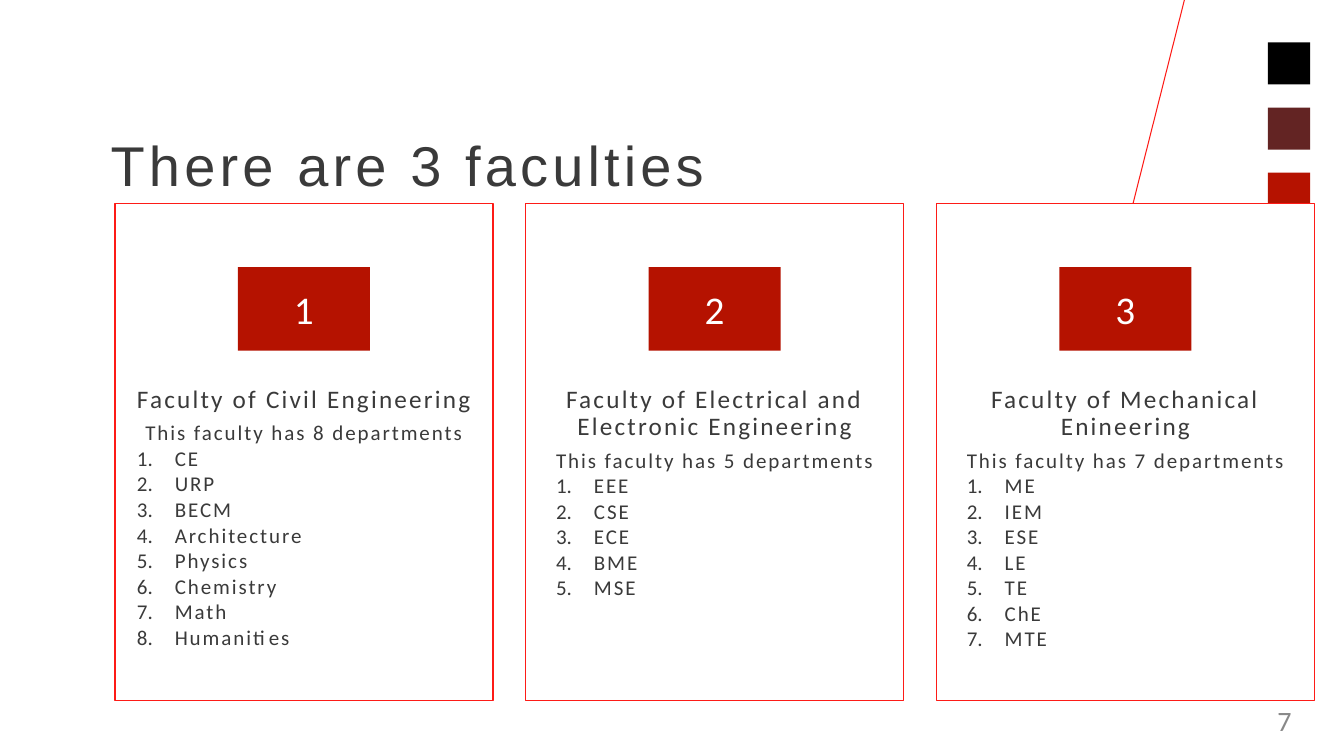
import pptx
import pptx.util
from pptx.dml.color import RGBColor
from pptx.enum.shapes import MSO_CONNECTOR, MSO_SHAPE
from pptx.enum.text import MSO_ANCHOR, PP_ALIGN
from pptx.oxml.ns import qn
from lxml import etree

Pt = pptx.util.Pt

BLACK = RGBColor(0x00, 0x00, 0x00)
MAROON = RGBColor(0x63, 0x24, 0x23)
RED = RGBColor(0xB5, 0x12, 0x00)
BRIGHT_RED = RGBColor(0xFD, 0x1B, 0x17)
WHITE = RGBColor(0xFF, 0xFF, 0xFF)
INK = RGBColor(0x3A, 0x3A, 0x3A)
GREY = RGBColor(0x89, 0x89, 0x89)

TITLE = "There are 3 faculties"
PAGE_NUMBER = "7"
FACULTIES = [
    ("Faculty of Civil Engineering",
     ["CE", "URP", "BECM", "Architecture", "Physics", "Chemistry", "Math", "Humanities"]),
    ("Faculty of Electrical and Electronic Engineering",
     ["EEE", "CSE", "ECE", "BME", "MSE"]),
    ("Faculty of Mechanical Enineering",
     ["ME", "IEM", "ESE", "LE", "TE", "ChE", "MTE"]),
]

SWATCHES = [BLACK, MAROON, RED]
SWATCH_LEFT, SWATCH_TOP, SWATCH_SIZE, SWATCH_PITCH = 905.7, 30.2, 30.2, 46.6
CARD_LEFT, CARD_TOP, CARD_WIDTH, CARD_HEIGHT, CARD_PITCH = 82.1, 145.4, 270, 355, 293.4
BADGE_TOP, BADGE_WIDTH, BADGE_HEIGHT = 190.8, 94.4, 59.6
NUMBER_INDENT = 27


def add_box(slide, left, top, width, height, fill, outline=None):
    box = slide.shapes.add_shape(MSO_SHAPE.RECTANGLE, Pt(left), Pt(top), Pt(width), Pt(height))
    box.shadow.inherit = False
    box.fill.solid()
    box.fill.fore_color.rgb = fill
    if outline is None:
        box.line.fill.background()
    else:
        box.line.color.rgb = outline
        box.line.width = Pt(1)
    return box


def write(paragraph, text, size, color, align, font="Calibri", tracking=0, after=0,
          line_spacing=None, numbered=False):
    run = paragraph.add_run()
    run.text = text
    if tracking:
        run._r.get_or_add_rPr().set("spc", str(round(tracking * 100)))
    paragraph.alignment = align
    paragraph.space_after = Pt(after)
    if line_spacing:
        paragraph.line_spacing = line_spacing
    if numbered:
        properties = paragraph._p.get_or_add_pPr()
        properties.set("marL", str(Pt(NUMBER_INDENT)))
        properties.set("indent", str(-Pt(NUMBER_INDENT)))
        etree.SubElement(properties, qn("a:buFont"), typeface="+mj-lt")
        etree.SubElement(properties, qn("a:buAutoNum"), type="arabicPeriod")
    paragraph.font.name = font
    paragraph.font.size = Pt(size)
    paragraph.font.color.rgb = color


def add_label(slide, left, top, width, height, text, size, color, align, **style):
    box = slide.shapes.add_textbox(Pt(left), Pt(top), Pt(width), Pt(height))
    box.text_frame.word_wrap = True
    box.text_frame.vertical_anchor = MSO_ANCHOR.MIDDLE
    write(box.text_frame.paragraphs[0], text, size, color, align, **style)


def add_faculty(slide, index, faculty, departments):
    left = CARD_LEFT + index * CARD_PITCH
    card = add_box(slide, left, CARD_TOP, CARD_WIDTH, CARD_HEIGHT, WHITE, BRIGHT_RED)
    frame = card.text_frame
    frame.word_wrap = True
    frame.vertical_anchor = MSO_ANCHOR.TOP
    frame.margin_left = frame.margin_right = Pt(10.8)
    frame.margin_top, frame.margin_bottom = Pt(131), Pt(70.6)
    # The whole text block is centred across the card, while the list stays left-aligned.
    frame._txBody.bodyPr.set("anchorCtr", "1")

    write(frame.paragraphs[0], faculty, 18, INK, PP_ALIGN.CENTER,
          tracking=1.6, after=6.2, line_spacing=0.9)
    detail = {"tracking": 1.4, "after": 2, "line_spacing": 0.9}
    write(frame.add_paragraph(), f"This faculty has {len(departments)} departments",
          15, INK, PP_ALIGN.CENTER, **detail)
    for department in departments:
        write(frame.add_paragraph(), department, 15, INK, PP_ALIGN.LEFT,
              numbered=True, **detail)

    badge = add_box(slide, left + (CARD_WIDTH - BADGE_WIDTH) / 2, BADGE_TOP,
                    BADGE_WIDTH, BADGE_HEIGHT, RED)
    badge.text_frame.vertical_anchor = MSO_ANCHOR.MIDDLE
    write(badge.text_frame.paragraphs[0], str(index + 1), 28, WHITE, PP_ALIGN.CENTER)


def main():
    deck = pptx.Presentation()
    deck.slide_width, deck.slide_height = Pt(960), Pt(540)
    slide = deck.slides.add_slide(deck.slide_layouts[6])

    for row, color in enumerate(SWATCHES):
        add_box(slide, SWATCH_LEFT, SWATCH_TOP + row * SWATCH_PITCH,
                SWATCH_SIZE, SWATCH_SIZE, color)

    slant = slide.shapes.add_connector(MSO_CONNECTOR.STRAIGHT, Pt(846), Pt(0), Pt(725), Pt(479.5))
    slant.line.color.rgb = BRIGHT_RED
    slant.line.width = Pt(0.75)
    etree.SubElement(slant._element.spPr, qn("a:effectLst"))

    add_label(slide, 72, 77.8, 665, 85, TITLE, 40, INK, PP_ALIGN.LEFT,
              font="Arial", tracking=3, line_spacing=0.9)
    for index, (faculty, departments) in enumerate(FACULTIES):
        add_faculty(slide, index, faculty, departments)
    add_label(slide, 808.6, 500.4, 121, 28.8, PAGE_NUMBER, 20, GREY, PP_ALIGN.RIGHT)

    deck.save("out.pptx")


if __name__ == "__main__":
    main()
